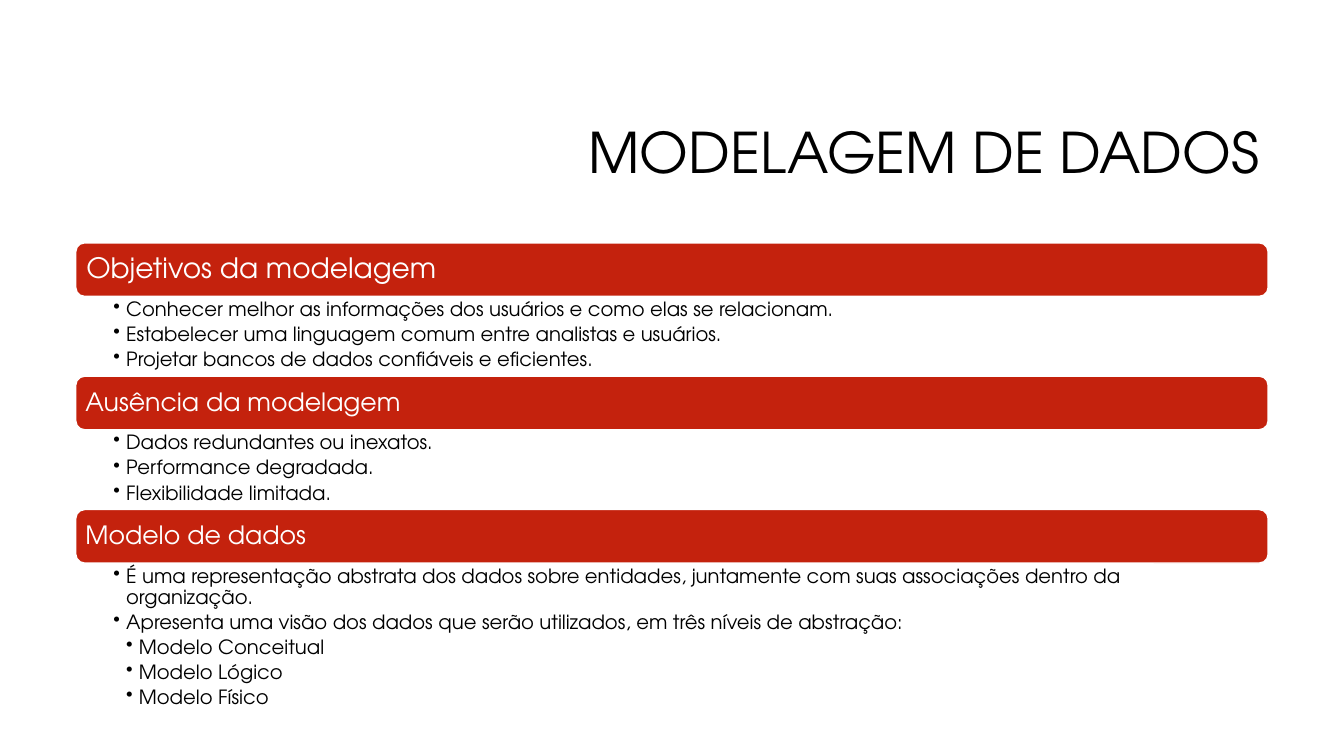
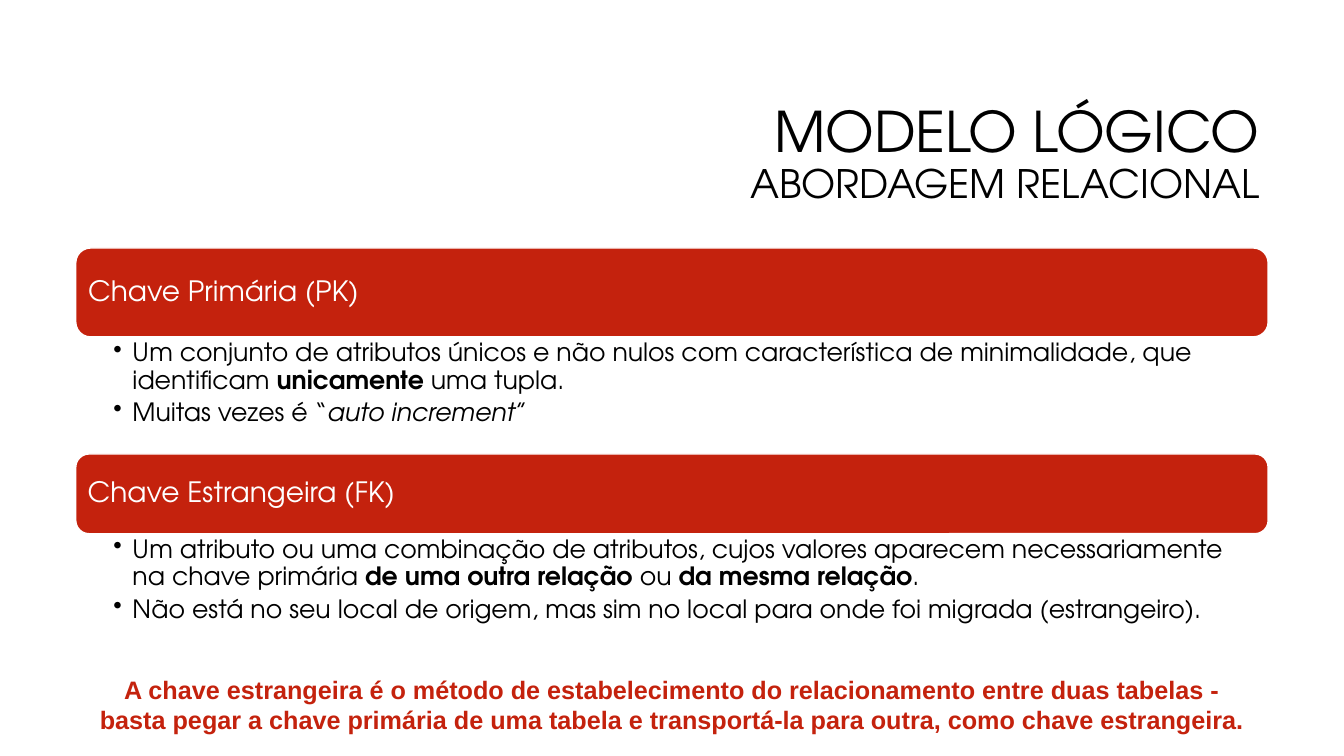
"""Build two slides on data modelling, made of red bars with bullet lists."""
from dataclasses import dataclass

from lxml import etree
from pptx import Presentation
from pptx.dml.color import RGBColor
from pptx.enum.shapes import MSO_SHAPE
from pptx.enum.text import MSO_ANCHOR, PP_ALIGN
from pptx.oxml.ns import qn
from pptx.shapes.autoshape import Shape
from pptx.slide import Slide
from pptx.text.text import TextFrame, _Paragraph, _Run
from pptx.util import Cm, Pt

ROUND = MSO_SHAPE.ROUNDED_RECTANGLE
MID, TOP = MSO_ANCHOR.MIDDLE, MSO_ANCHOR.TOP
LEFT, RIGHT, CENTER = PP_ALIGN.LEFT, PP_ALIGN.RIGHT, PP_ALIGN.CENTER
RED, BLACK, WHITE = "C4220D", "000000", "FFFFFF"
FACE, PLAIN = "TeX Gyre Adventor", "Arial"
EDGE, WIDTH = 1.91, 30.05
LEAD = 0.9


@dataclass(frozen=True)
class Span:
    text: str
    bold: bool = False
    slant: bool = False


@dataclass(frozen=True)
class Point:
    spans: tuple[Span, ...]
    level: int = 1


@dataclass(frozen=True)
class Topic:
    head: str
    size: float
    high: float
    room: float
    points: tuple[Point, ...]


@dataclass(frozen=True)
class Page:
    title: str
    top: float
    size: float
    step: float
    topics: tuple[Topic, ...]
    note: str = ""


def point(*spans: str | Span, level: int = 1) -> Point:
    return Point(tuple(Span(s) if isinstance(s, str) else s for s in spans), level)


PAGES = (
    Page("MODELAGEM DE DADOS", 6.12, 14, 0.32, (
        Topic("Objetivos da modelagem", 20, 1.35, 2.01, (
            point("Conhecer melhor as informações dos usuários e como elas se relacionam."),
            point("Estabelecer uma linguagem comum entre analistas e usuários."),
            point("Projetar bancos de dados confiáveis e eficientes."),
        )),
        Topic("Ausência da modelagem", 18, 1.35, 2.01, (
            point("Dados redundantes ou inexatos."),
            point("Performance degradada."),
            point("Flexibilidade limitada."),
        )),
        Topic("Modelo de dados", 18, 1.35, 3.94, (
            point("É uma representação abstrata dos dados sobre entidades, "
                  "juntamente com suas associações dentro da organização."),
            point("Apresenta uma visão dos dados que serão utilizados, "
                  "em três níveis de abstração:"),
            point("Modelo Conceitual", level=2),
            point("Modelo Lógico", level=2),
            point("Modelo Físico", level=2),
        )),
    )),
    Page("MODELO LÓGICO\nABORDAGEM RELACIONAL", 6.25, 18, 0.48, (
        Topic("Chave Primária (PK)", 20, 2.24, 2.95, (
            point("Um conjunto de atributos únicos e não nulos com característica "
                  "de minimalidade, que identificam ",
                  Span("unicamente", bold=True), " uma tupla."),
            point("Muitas vezes é “", Span("auto increment", slant=True), "”"),
        )),
        Topic("Chave Estrangeira (FK)", 20, 2.01, 2.95, (
            point("Um atributo ou uma combinação de atributos, cujos valores "
                  "aparecem necessariamente na chave primária ",
                  Span("de uma outra relação ", bold=True), "ou ",
                  Span("da mesma relação", bold=True), "."),
            point("Não está no seu local de origem, mas sim no local para onde "
                  "foi migrada (estrangeiro)."),
        )),
    ), "A chave estrangeira é o método de estabelecimento do relacionamento entre "
       "duas tabelas - basta pegar a chave primária de uma tabela e transportá-la "
       "para outra, como chave estrangeira."),
)


def rgb(code: str) -> RGBColor:
    return RGBColor.from_string(code)


def style(run: _Run, size: float, tint: str, face: str = FACE,
          bold: bool = False, slant: bool = False) -> None:
    font = run.font
    font.name, font.size = face, Pt(size)
    font.bold, font.italic = bold, slant
    font.color.rgb = rgb(tint)


def setup(frame: TextFrame, anchor: MSO_ANCHOR, left: float = 0.25,
          top: float = 0.13, right: float = 0.25, base: float = 0.13) -> None:
    frame.word_wrap = True
    frame.vertical_anchor = anchor
    frame.margin_left, frame.margin_right = Cm(left), Cm(right)
    frame.margin_top, frame.margin_bottom = Cm(top), Cm(base)


def bullet(para: _Paragraph, level: int, step: float) -> None:
    para.level = level
    props = para._p.get_or_add_pPr()
    props.set("marL", str(Cm(step * level)))
    props.set("indent", str(-Cm(step)))
    etree.SubElement(props, qn("a:buChar"), char="•")


def add_title(slide: Slide, text: str) -> None:
    frame = slide.shapes.add_textbox(Cm(8.05), Cm(2.13), Cm(23.93), Cm(3.58)).text_frame
    setup(frame, MID)
    para = frame.paragraphs[0]
    para.text = text
    para.alignment, para.line_spacing = RIGHT, LEAD
    for run, size in zip(para.runs, (40, 28)):
        style(run, size, BLACK)


def add_block(slide: Slide, top: float, high: float) -> Shape:
    block = slide.shapes.add_shape(ROUND, Cm(EDGE), Cm(top), Cm(WIDTH), Cm(high))
    block.shadow.inherit = False
    return block


def add_bar(slide: Slide, topic: Topic, top: float) -> None:
    bar = add_block(slide, top, topic.high)
    bar.fill.solid()
    bar.fill.fore_color.rgb = rgb(RED)
    bar.line.color.rgb = rgb(WHITE)
    bar.line.width = Pt(1)
    pad = topic.size / 100
    setup(bar.text_frame, MID, pad, pad, pad, pad)
    para = bar.text_frame.paragraphs[0]
    para.text = topic.head
    para.alignment, para.line_spacing = LEFT, LEAD
    style(para.runs[0], topic.size, WHITE)


def add_list(slide: Slide, topic: Topic, top: float, size: float, step: float) -> None:
    frame = slide.shapes.add_textbox(Cm(EDGE), Cm(top), Cm(WIDTH), Cm(topic.room)).text_frame
    setup(frame, TOP, 0.95, 0.08, 0.36, 0.08)
    for rank, item in enumerate(topic.points):
        para = frame.add_paragraph() if rank else frame.paragraphs[0]
        para.line_spacing, para.space_after = LEAD, Pt(0.2 * size)
        bullet(para, item.level, step)
        for span in item.spans:
            run = para.add_run()
            run.text = span.text
            style(run, size, BLACK, bold=span.bold, slant=span.slant)


def add_note(slide: Slide, text: str) -> None:
    note = add_block(slide, 16.81, 1.9)
    note.fill.background()
    note.line.fill.background()
    setup(note.text_frame, MID)
    para = note.text_frame.paragraphs[0]
    para.text = text
    para.alignment = CENTER
    style(para.runs[0], 18, RED, PLAIN, bold=True)


def main() -> None:
    deck = Presentation()
    deck.slide_width, deck.slide_height = Cm(33.87), Cm(19.05)
    for page in PAGES:
        slide = deck.slides.add_slide(deck.slide_layouts[6])
        add_title(slide, page.title)
        top = page.top
        for topic in page.topics:
            add_bar(slide, topic, top)
            add_list(slide, topic, top + topic.high, page.size, page.step)
            top += topic.high + topic.room
        if page.note:
            add_note(slide, page.note)
    deck.save("out.pptx")


if __name__ == "__main__":
    main()
